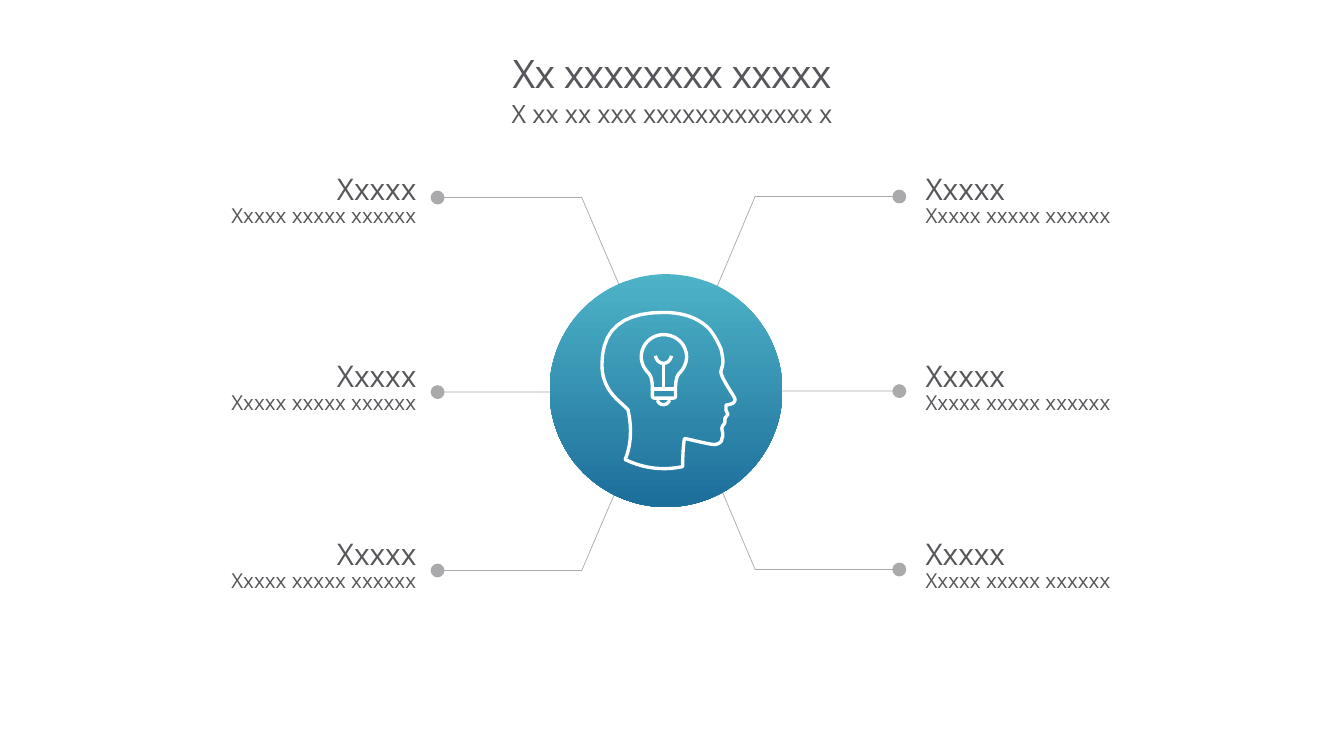
from pptx import Presentation, util as u
from pptx.dml.color import RGBColor
from pptx.enum import shapes, text
from pptx.oxml import parse_xml
from pptx.oxml.ns import nsdecls, qn

FONT = "Open Sans"
COLORS = {"gray": "57565A", "white": "FFFFFF", "teal": "4DB3C7", "blue": "1D6E9B"}
CURVE_STEPS = 10

HEAD = [
    (6.58, 3.1), (6.17, 3.1, 5.97, 3.27, 5.97, 3.62),
    (5.97, 3.82, 6.08, 3.93, 6.16, 4), (6.19, 4.03, 6.22, 4.05, 6.23, 4.07),
    (6.28, 4.3, 6.24, 4.47, 6.2, 4.56), (6.39, 4.65, 6.58, 4.67, 6.77, 4.63),
    (6.77, 4.52, 6.78, 4.38, 6.79, 4.35), (6.84, 4.36, 7.04, 4.41, 7.08, 4.41),
    (7.12, 4.41, 7.16, 4.39, 7.16, 4.35), (7.18, 4.31, 7.16, 4.28, 7.16, 4.25),
    (7.16, 4.22, 7.19, 4.21, 7.19, 4.18), (7.19, 4.15), (7.22, 4.11),
    (7.2, 4.07), (7.2, 4.02), (7.24, 4.01, 7.29, 4.01, 7.29, 3.96),
    (7.29, 3.94, 7.15, 3.75, 7.15, 3.69), (7.15, 3.67, 7.17, 3.63, 7.17, 3.59),
    (7.17, 3.55, 7.16, 3.5, 7.15, 3.46), (7.14, 3.44, 7.11, 3.36, 7.04, 3.27),
    (6.93, 3.15, 6.77, 3.1, 6.58, 3.1),
]
BULB = [
    (6.58, 3.32), (6.46, 3.32, 6.36, 3.42, 6.36, 3.54),
    (6.36, 3.6, 6.39, 3.66, 6.43, 3.7), (6.45, 3.72, 6.47, 3.76, 6.47, 3.85),
    (6.47, 3.93), (6.47, 3.95, 6.49, 3.95, 6.5, 3.95), (6.67, 3.95),
    (6.68, 3.95, 6.7, 3.95, 6.7, 3.93), (6.7, 3.85),
    (6.7, 3.76, 6.72, 3.72, 6.74, 3.7), (6.78, 3.66, 6.81, 3.6, 6.81, 3.54),
    (6.81, 3.42, 6.71, 3.32, 6.58, 3.32),
]
FILAMENT = [(6.5, 3.53), (6.52, 3.63, 6.64, 3.63, 6.66, 3.53)]
STEM = [(6.58, 3.6), (6.58, 3.86)]
COLLAR = [(6.47, 3.86), (6.7, 3.86)]
CAP = [(6.52, 3.97), (6.54, 4.03, 6.62, 4.03, 6.64, 3.97)]


def color(name):
    return RGBColor.from_string(COLORS[name])


def flatten(segments):
    points = [segments[0]]
    for segment in segments[1:]:
        if len(segment) == 2:
            points.append(segment)
            continue
        controls = [points[-1], segment[:2], segment[2:4], segment[4:]]
        for step in range(1, CURVE_STEPS + 1):
            t = step / CURVE_STEPS
            weights = ((1 - t) ** 3, 3 * t * (1 - t) ** 2, 3 * t * t * (1 - t), t ** 3)
            points.append(tuple(sum(w * c[axis] for w, c in zip(weights, controls))
                                for axis in (0, 1)))
    return points


def add_outline(container, contours, line_color, width):
    contours = [[(u.Inches(x), u.Inches(y)) for x, y in flatten(c)] for c in contours]
    builder = container.build_freeform(*contours[0][0], scale=1.0)
    for index, points in enumerate(contours):
        if index:
            builder.move_to(*points[0])
        builder.add_line_segments(points[1:], close=points[0] == points[-1])
    shape = builder.convert_to_shape()
    shape.shadow.inherit = False
    shape.fill.background()
    shape.line.color.rgb = color(line_color)
    shape.line.width = u.Pt(width)
    return shape


def style_callout_line(shape):
    shape.line.color.rgb = color("gray")
    shape.line.width = u.Pt(0.5)
    line = shape.line._get_or_add_ln()
    line.find(".//" + qn("a:srgbClr")).append(
        parse_xml(f'<a:alpha {nsdecls("a")} val="50000"/>'))
    line.append(parse_xml(f'<a:tailEnd {nsdecls("a")} type="oval" w="lg" len="lg"/>'))


def add_callout_lines(slide, inner, bend, outer, top):
    for start_y, end_y in ((top + 1.73, top), (top + 1.97, top + 3.7)):
        style_callout_line(add_outline(
            slide.shapes, [[(inner, start_y), (bend, end_y), (outer, end_y)]], "gray", 0.5))


def add_middle_line(slide, start, end, y):
    connector = slide.shapes.add_connector(
        shapes.MSO_CONNECTOR.STRAIGHT,
        u.Inches(start), u.Inches(y), u.Inches(end), u.Inches(y))
    style_callout_line(connector)
    connector._element.spPr.append(parse_xml(f'<a:effectLst {nsdecls("a")}/>'))


def add_idea_icon(slide):
    group = slide.shapes.add_group_shape()
    circle = group.shapes.add_shape(
        shapes.MSO_SHAPE.OVAL, u.Inches(5.45), u.Inches(2.72), u.Inches(2.31), u.Inches(2.31))
    circle.shadow.inherit = False
    circle.line.fill.background()
    circle.fill.gradient()
    circle.fill.gradient_angle = 270
    for stop, name, position in zip(circle.fill.gradient_stops, ("teal", "blue"), (0, 1)):
        stop.color.rgb = color(name)
        stop.position = position
    add_outline(group.shapes, [HEAD, BULB, FILAMENT, STEM, COLLAR, CAP], "white", 2.4)


def add_text(slide, box, lines, align, spacing, inset=0,
             anchor=text.MSO_ANCHOR.TOP, grow=False, tracking=0):
    frame = slide.shapes.add_textbox(*map(u.Inches, box)).text_frame
    frame.word_wrap = True
    frame.vertical_anchor = anchor
    frame.margin_left = frame.margin_right = 0
    frame.margin_top = frame.margin_bottom = u.Inches(inset)
    if grow:
        frame.auto_size = text.MSO_AUTO_SIZE.SHAPE_TO_FIT_TEXT
    frame.text = "\n".join(words for words, _ in lines)
    for paragraph, (_, size) in zip(frame.paragraphs, lines):
        paragraph.alignment = align
        paragraph.line_spacing = spacing
        for run in paragraph.runs:
            run.font.name = FONT
            run.font.size = u.Pt(size)
            run.font.color.rgb = color("gray")
            if tracking:
                run._r.get_or_add_rPr().set("spc", str(tracking))


def main():
    presentation = Presentation()
    presentation.slide_width = u.Inches(13.33)
    presentation.slide_height = u.Inches(7.5)
    slide = presentation.slides.add_slide(presentation.slide_layouts[6])

    add_callout_lines(slide, 6.51, 5.77, 4.34, 1.96)
    add_middle_line(slide, 5.51, 4.34, 3.89)
    add_callout_lines(slide, 6.76, 7.49, 8.92, 1.95)
    add_middle_line(slide, 7.76, 8.92, 3.88)
    add_idea_icon(slide)

    label = [("Xxxxx", 21.3), ("Xxxxx xxxxx xxxxxx", 14.7)]
    for left, align in ((1.65, text.PP_ALIGN.RIGHT), (9.18, text.PP_ALIGN.LEFT)):
        for top in (1.7, 3.55, 5.32):
            add_text(slide, (left, top, 2.48, 0.62), label, align, 0.85, inset=0.05, grow=True)

    center = text.PP_ALIGN.CENTER
    add_text(slide, (1, 0.31, 11.33, 0.89), [("Xx xxxxxxxx xxxxx", 28)], center, 0.86,
             anchor=text.MSO_ANCHOR.MIDDLE, tracking=-50)
    add_text(slide, (1, 1.02, 11.33, 0.44), [("X xx xx xxx xxxxxxxxxxxxx x", 18)], center, 0.86,
             tracking=-10)
    presentation.save("out.pptx")


if __name__ == "__main__":
    main()
